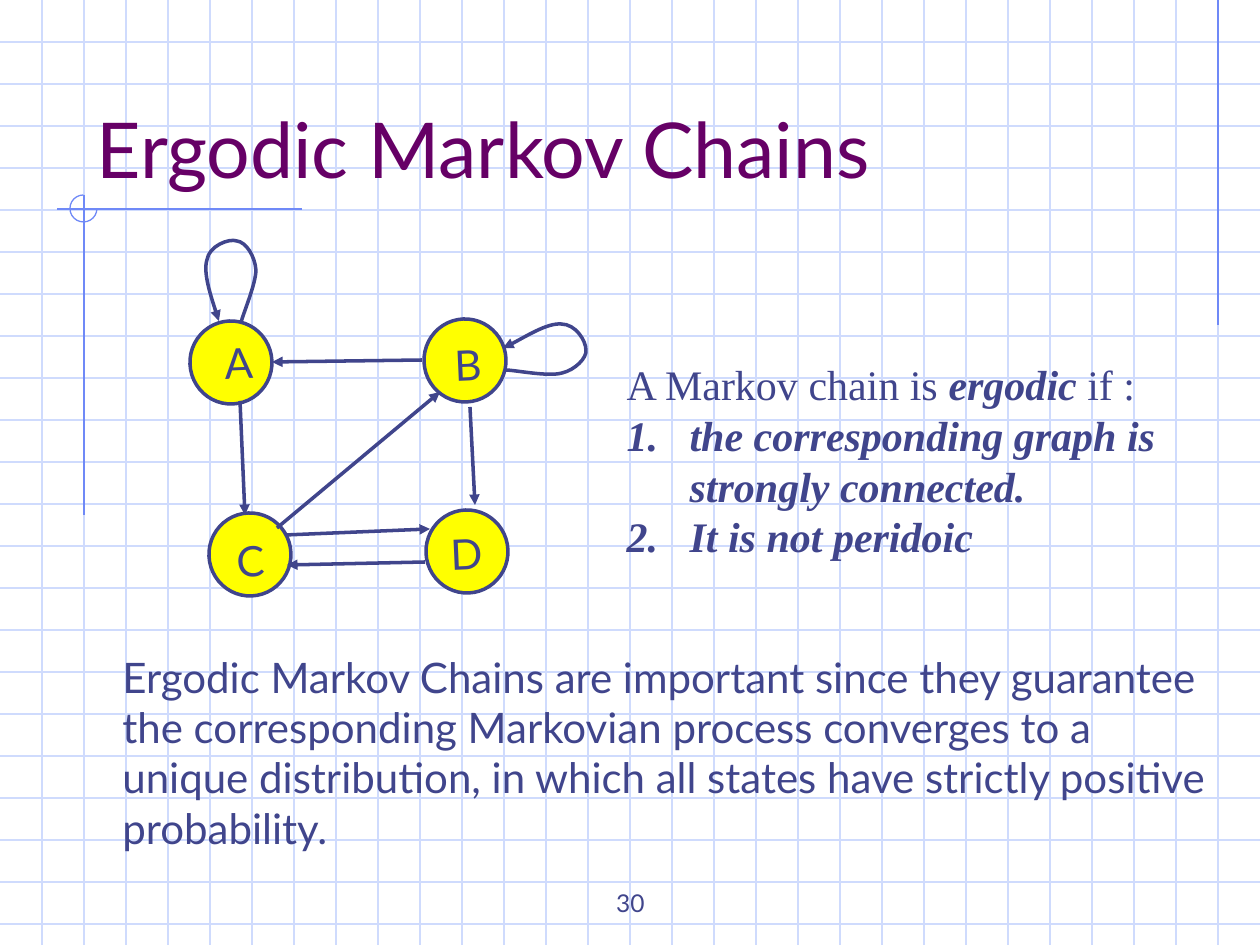
import pptx
import pptx.dml.color
import pptx.enum.shapes
import pptx.enum.text
import pptx.oxml
import pptx.oxml.ns
import pptx.util

PX = 914400 / 126
WIDTH, HEIGHT, GRID = 1260, 945, 42
COLORS = {"grid": "CFDBFD", "accent": "6F89F7", "ink": "40458C",
          "title": "660066", "node": "FFFF00"}
ANCHOR = pptx.enum.text.MSO_ANCHOR
ALIGN = pptx.enum.text.PP_ALIGN
FIT = pptx.enum.text.MSO_AUTO_SIZE
SHAPES = pptx.enum.shapes.MSO_SHAPE
STRONG = {"bold": True, "italic": True}
TILT = -2.5


def px(*lengths):
    return [pptx.util.Emu(round(length * PX)) for length in lengths]


def rgb(name):
    return pptx.dml.color.RGBColor.from_string(COLORS[name])


def assign(target, values):
    for name, value in values.items():
        setattr(target, name, value)


def add_xml(parent, tag, **attributes):
    child = pptx.oxml.parse_xml(f"<a:{tag} {pptx.oxml.ns.nsdecls('a')}/>")
    for name, value in attributes.items():
        child.set(name, value)
    parent.append(child)
    return child


class Painter:
    """Holds the text style and the slide being drawn."""

    def __init__(self, page):
        self.page = page
        self.font = {"name": "Lato", "size": pptx.util.Pt(24)}

    def stroke(self, shape, color, width, arrow=False):
        shape.line.color.rgb = rgb(color)
        shape.line.width = pptx.util.Pt(width)
        if arrow:
            outline = shape.element.spPr.find(pptx.oxml.ns.qn("a:ln"))
            add_xml(outline, "tailEnd", type="triangle")

    def line(self, start, end, color="ink", width=2, arrow=False):
        connector = self.page.shapes.add_connector(
            pptx.enum.shapes.MSO_CONNECTOR.STRAIGHT, *px(*start, *end))
        self.stroke(connector, color, width, arrow)
        add_xml(connector.element.spPr, "effectLst")

    def shape(self, kind, area, color, width, fill=None):
        shape = self.page.shapes.add_shape(kind, *px(*area))
        shape.shadow.inherit = False
        if fill:
            shape.fill.solid()
            shape.fill.fore_color.rgb = rgb(fill)
        else:
            shape.fill.background()
        self.stroke(shape, color, width)
        return shape

    def curve(self, start, points):
        """Draw an arrow of cubic curves, three points to each curve."""
        builder = self.page.shapes.build_freeform(*start, scale=PX)
        builder.add_line_segments(points, close=False)
        loop = builder.convert_to_shape()
        loop.shadow.inherit = False
        loop.fill.background()
        self.stroke(loop, "ink", 2, arrow=True)
        outline = next(loop.element.iter(pptx.oxml.ns.qn("a:path")))
        segments = outline.findall(pptx.oxml.ns.qn("a:lnTo"))
        for first in range(0, len(segments), 3):
            bezier = add_xml(outline, "cubicBezTo")
            for segment in segments[first:first + 3]:
                bezier.append(segment[0])
                outline.remove(segment)

    def add_spans(self, para, spans, color="ink", **font):
        for text, extra in spans:
            span = para.add_run()
            span.text = text
            assign(span.font, self.font | font | extra)
            span.font.color.rgb = rgb(color)

    def text(self, text, area, frame=None, align=ALIGN.LEFT, rotation=0, **font):
        box = self.page.shapes.add_textbox(*px(*area))
        box.rotation = rotation
        assign(box.text_frame, {"word_wrap": True} | (frame or {}))
        para = box.text_frame.paragraphs[0]
        para.alignment = align
        self.add_spans(para, [(text, {})], **font)

    def placeholder(self, index, area, frame):
        """Move a placeholder to its area and in front of the grid."""
        box = self.page.placeholders[index]
        assign(box, dict(zip(("left", "top", "width", "height"), px(*area))))
        box.element.getparent().append(box.element)
        assign(box.text_frame, {"word_wrap": True, "auto_size": FIT.NONE} | frame)
        return box.text_frame

    def title(self, text, area):
        para = self.placeholder(0, area, {"vertical_anchor": ANCHOR.BOTTOM}).paragraphs[0]
        para.alignment = ALIGN.LEFT
        self.add_spans(para, [(text, {})], "title", size=pptx.util.Pt(44))

    def numbered_list(self, intro, items, area):
        frame = self.placeholder(1, area, {"vertical_anchor": ANCHOR.TOP})
        rows = [intro] + [[(item, STRONG)] for item in items]
        for number, spans in enumerate(rows):
            para = frame.add_paragraph() if number else frame.paragraphs[0]
            assign(para, {"space_before": pptx.util.Pt(0),
                          "line_spacing": pptx.util.Pt(29)})
            properties = para._p.get_or_add_pPr()
            properties.set("marL", "457200")
            properties.set("indent", "-457200")
            if number:
                add_xml(properties, "buAutoNum", type="arabicPeriod")
            else:
                add_xml(properties, "buNone")
            self.add_spans(para, spans, name="Times New Roman")


def draw_backdrop(painter):
    for y in range(GRID, HEIGHT, GRID):
        painter.line((0, y), (WIDTH, y), "grid", 0.75)
    for x in range(GRID, WIDTH, GRID):
        painter.line((x, 0), (x, HEIGHT), "grid", 0.75)
    for start, end in [((1218, 0), (1218, 325)), ((302, 209), (57, 209)),
                       ((84, 195), (84, 515))]:
        painter.line(start, end, "accent", 0.75)
    arc = painter.shape(SHAPES.ARC, (70, 195, 27, 27), "accent", 0.75)
    arc.adjustments[0], arc.adjustments[1] = 0, 162


def draw_graph(painter):
    nodes = {"A": ((190, 321), (212, 331)), "B": ((424, 319), (442, 333)),
             "C": ((209, 513), (224, 529)), "D": ((426, 510), (438, 522))}
    arrows = [((277, 528), (440, 392)), ((425, 562), (287, 565)),
              ((286, 535), (430, 529)), ((470, 407), (475, 505)),
              ((422, 360), (272, 362)), ((240, 401), (245, 515))]
    loops = [((505, 370), [(515, 370), (548, 377), (562, 373),
                           (575, 370), (587, 358), (586, 350),
                           (586, 341), (576, 324), (561, 324),
                           (547, 323), (515, 343), (503, 348)]),
             ((241, 323), [(243, 314), (256, 284), (256, 270),
                           (255, 256), (246, 242), (237, 241),
                           (229, 238), (209, 246), (207, 260),
                           (203, 273), (215, 309), (219, 321)])]
    for corner, _ in nodes.values():
        node = painter.shape(SHAPES.OVAL, (*corner, 82, 83), "ink", 2, "node")
        node.rotation = TILT
    for start, end in arrows:
        painter.line(start, end, arrow=True)
    for start, points in loops:
        painter.curve(start, points)
    for name, (_, corner) in nodes.items():
        painter.text(name, (*corner, 53, 63), rotation=TILT,
                     frame={"word_wrap": False, "auto_size": FIT.SHAPE_TO_FIT_TEXT})


def main():
    deck = pptx.Presentation()
    deck.slide_width, deck.slide_height = px(WIDTH, HEIGHT)
    painter = Painter(deck.slides.add_slide(deck.slide_layouts[1]))
    draw_backdrop(painter)
    painter.text("30", (431, 861, 399, 63), {"vertical_anchor": ANCHOR.BOTTOM},
                 ALIGN.CENTER, size=pptx.util.Pt(14))
    painter.title("Ergodic Markov Chains", (84, 42, 1071, 158))
    draw_graph(painter)
    painter.numbered_list(
        [("A Markov chain is ", {}), ("ergodic", STRONG), (" if :", {})],
        ["the corresponding graph is strongly connected.", "It is not peridoic"],
        (614, 352, 668, 214))
    painter.text("Ergodic Markov Chains are important since they guarantee the "
                 "corresponding Markovian process converges to a unique distribution, "
                 "in which all states have strictly positive probability.",
                 (110, 645, 1130, 214))
    deck.save("out.pptx")


if __name__ == "__main__":
    main()
